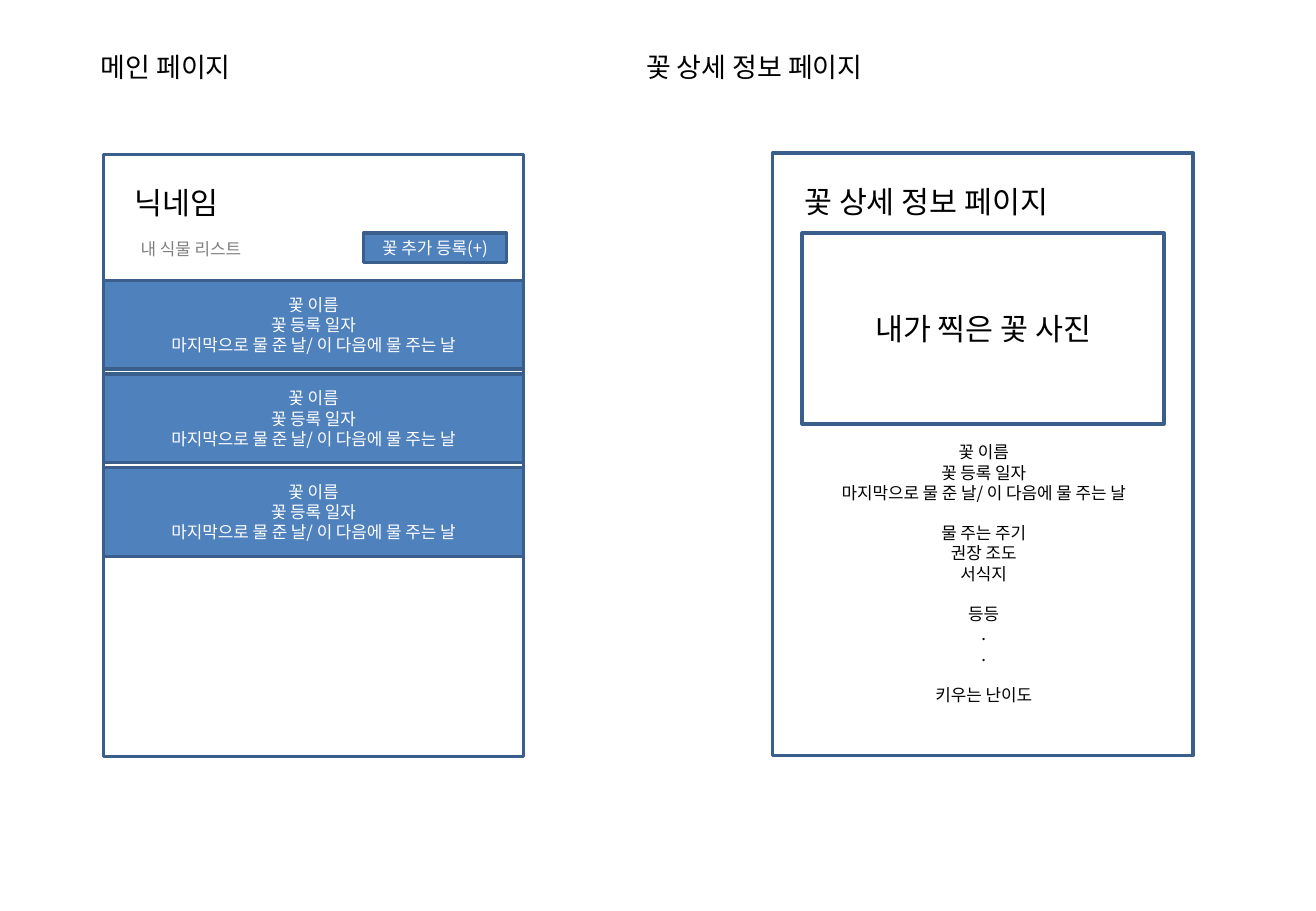
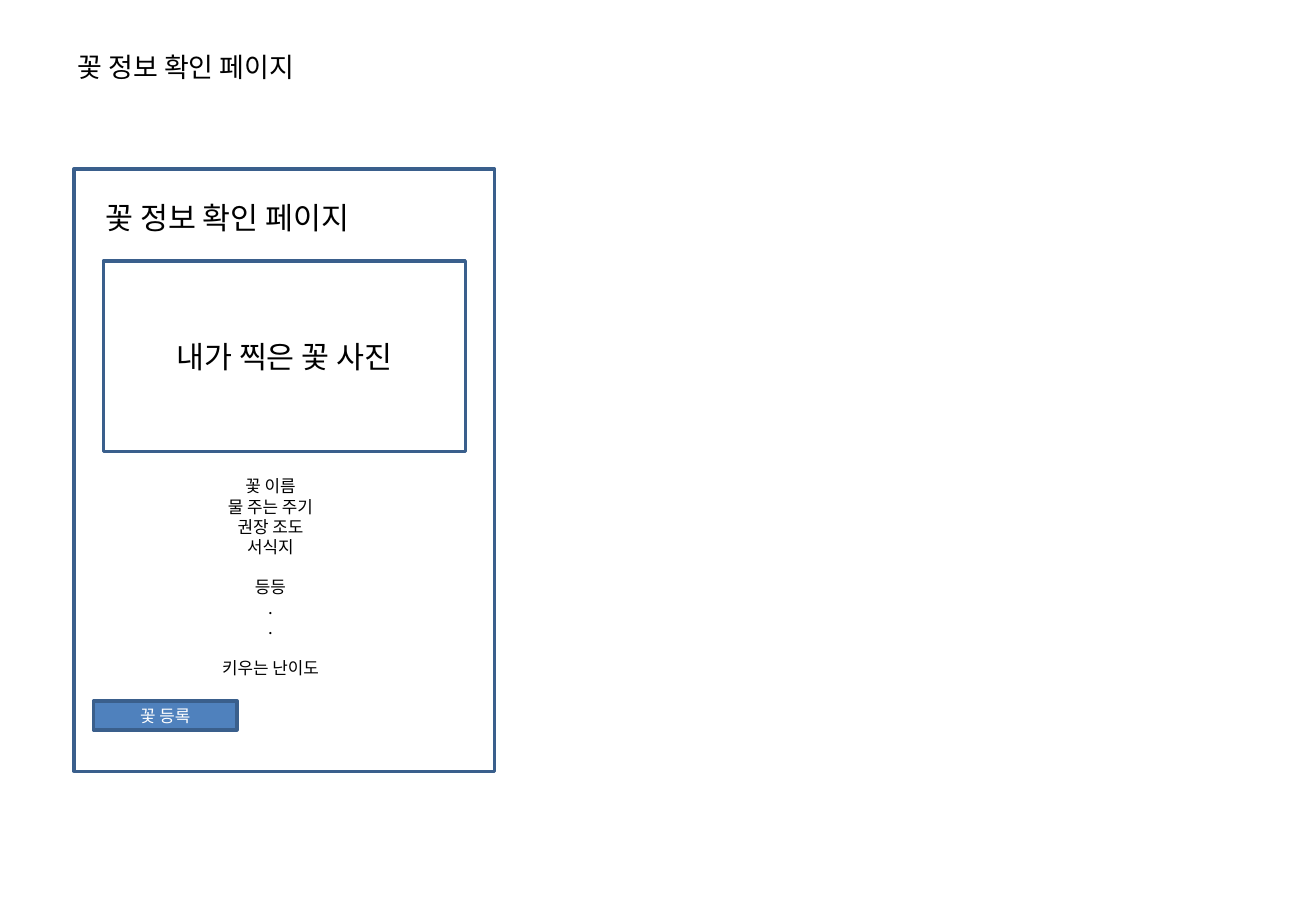
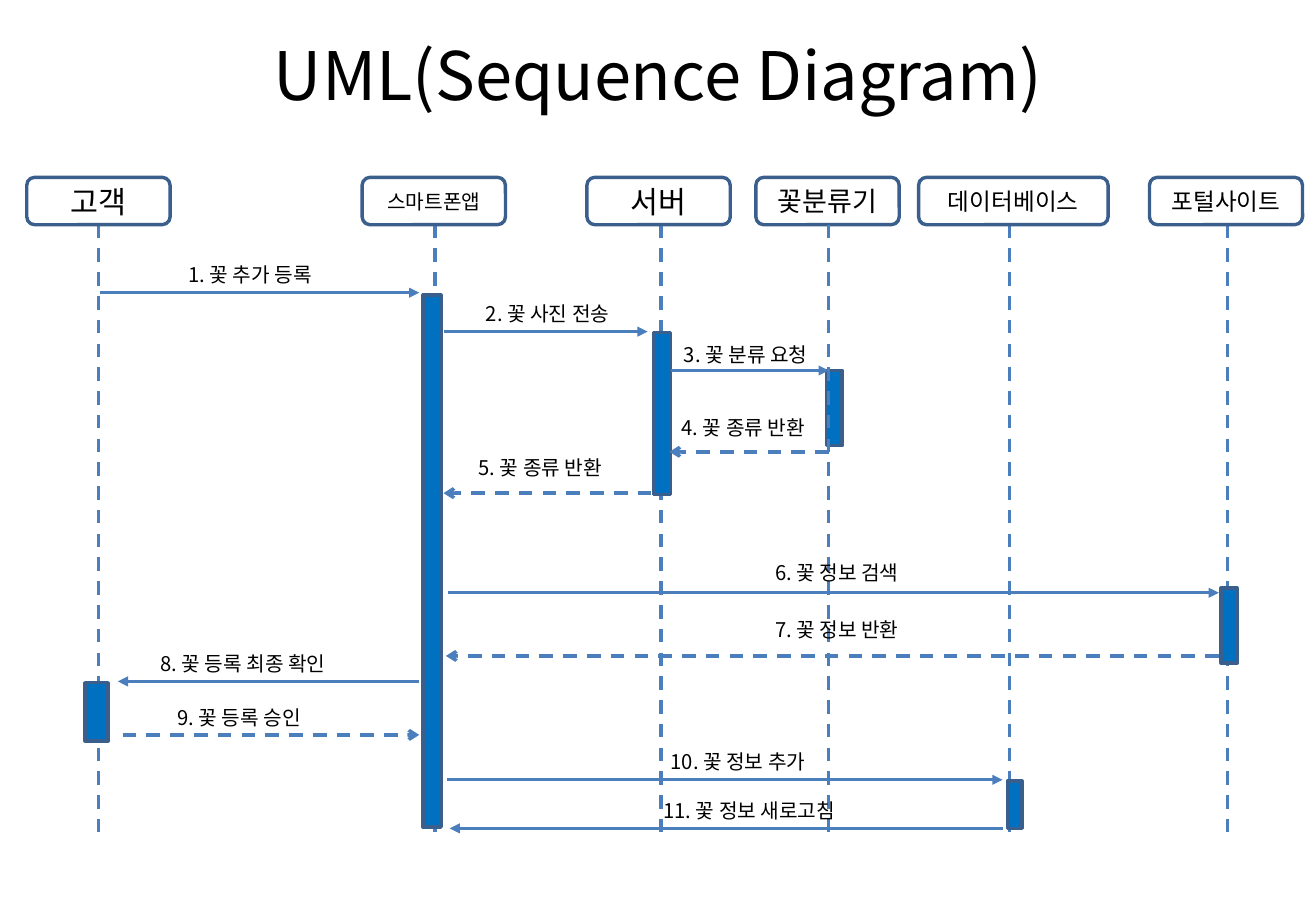
from collections import namedtuple
from dataclasses import dataclass

import pptx
import pptx.util
import pptx.dml.color
import pptx.enum.dml
import pptx.enum.shapes
import pptx.enum.text
import pptx.oxml
import pptx.oxml.ns


@dataclass(frozen=True)
class Theme:
    font: str = "Noto Sans CJK KR"
    black: str = "000000"
    white: str = "FFFFFF"
    grey: str = "808080"
    card: str = "4F81BD"
    outline: str = "3A5F8C"
    arrow: str = "4B7EBC"
    bar: str = "0070C0"
    line_width: float = 2
    leading: float = 1.2
    title: float = 39.6
    heading: float = 18
    page_name: float = 16
    label: float = 12
    body: float = 10


THEME = Theme()
SLIDE_WIDTH, SLIDE_HEIGHT = 10.83, 7.5
SCREEN = (3.46, 4.96)
PHOTO = (2.98, 1.57)
BUTTON = (1.18, 0.24)
COLUMN_WIDTH = 2.91
HEADING_OFFSET = (0.16, 0.2)
PAGE_NAME_TOP, PAGE_NAME_HEIGHT = 0.36, 0.38

# Wireframes: each inner list is a group set apart by one line.
CARD = [["꽃 이름", "꽃 등록 일자", "마지막으로 물 준 날/ 이 다음에 물 주는 날"]]
CARE = ["물 주는 주기", "권장 조도", "서식지"]
MORE = [["등등", ".", "."], ["키우는 난이도"]]
PHOTO_TEXT = "내가 찍은 꽃 사진"
CARD_COUNT, CARD_TOP, CARD_HEIGHT, CARD_STEP = 3, 2.31, 0.73, 0.77

MAIN_PAGE = dict(name="메인 페이지", name_left=0.73, at=(0.85, 1.27), heading="닉네임")
DETAIL_PAGE = dict(name="꽃 상세 정보 페이지", name_left=5.22, at=(6.36, 1.26),
                   heading="꽃 상세 정보 페이지", photo=(0.24, 0.66),
                   details=CARD + [CARE] + MORE, details_offset=(0.28, 2.33))
CHECK_PAGE = dict(name="꽃 정보 확인 페이지", name_left=0.54, at=(0.61, 1.39),
                  heading="꽃 정보 확인 페이지", photo=(0.24, 0.76),
                  details=[["꽃 이름"] + CARE] + MORE, details_offset=(0.16, 2.48))

# Sequence diagram
Participant = namedtuple("Participant", "name size left width lifeline bar line_in_front")
PARTICIPANTS = [
    Participant("고객", 18, 0.22, 1.18, 0.81, (0.7, 5.62, 0.19, 0.48), False),
    Participant("스마트폰앱", 12, 2.98, 1.18, 3.58, (3.48, 2.43, 0.15, 4.38), False),
    Participant("서버", 18, 4.83, 1.18, 5.44, (5.38, 2.74, 0.14, 1.33), False),
    Participant("꽃분류기", 16, 6.22, 1.18, 6.82, (6.8, 3.05, 0.13, 0.62), True),
    Participant("데이터베이스", 14, 7.56, 1.56, 8.31, (8.29, 6.43, 0.12, 0.39), False),
    Participant("포털사이트", 14, 9.46, 1.26, 10.1, (10.05, 4.84, 0.13, 0.62), False),
]
PARTICIPANT_TOP, PARTICIPANT_HEIGHT, LIFELINE_END = 1.46, 0.39, 6.9

Message = namedtuple("Message", "text start end y label_left label_lift dashed")
MESSAGES = [
    Message("꽃 추가 등록", 0.82, 3.45, 2.41, 1.45, 0.3, False),
    Message("꽃 사진 전송", 3.65, 5.33, 2.73, 3.9, 0.3, False),
    Message("꽃 분류 요청", 5.52, 6.82, 3.05, 5.53, 0.28, False),
    Message("꽃 종류 반환", 6.82, 5.51, 3.72, 5.51, 0.35, True),
    Message("꽃 종류 반환", 5.36, 3.65, 4.06, 3.84, 0.36, True),
    Message("꽃 정보 검색", 3.69, 10.03, 4.88, 6.28, 0.32, False),
    Message("꽃 정보 반환", 10.03, 3.67, 5.4, 6.28, 0.37, True),
    Message("꽃 등록 최종 확인", 3.45, 0.97, 5.61, 1.22, 0.3, False),
    Message("꽃 등록 승인", 1.01, 3.45, 6.05, 1.36, 0.29, True),
    Message("꽃 정보 추가", 3.68, 8.25, 6.42, 5.42, 0.3, False),
    Message("꽃 정보 새로고침", 8.25, 3.7, 6.82, 5.36, 0.3, False),
]
LABEL_SIZE = (1.88, 0.3)

ALIGN = pptx.enum.text.PP_ALIGN
ANCHOR = pptx.enum.text.MSO_ANCHOR
SHAPE = pptx.enum.shapes.MSO_SHAPE


def rgb(value):
    return pptx.dml.color.RGBColor.from_string(value)


def inches(*values):
    return [pptx.util.Inches(value) for value in values]


def shifted(point, offset):
    return point[0] + offset[0], point[1] + offset[1]


def write(frame, groups, size, color, align=ALIGN.LEFT, anchor=ANCHOR.TOP):
    """Fill a text frame; every group after the first starts one line lower."""
    frame.word_wrap = True
    frame.auto_size = pptx.enum.text.MSO_AUTO_SIZE.NONE
    frame.vertical_anchor = anchor
    leading = pptx.util.Pt(size * THEME.leading)
    paragraph = None
    for group_index, group in enumerate(groups):
        for line_index, text in enumerate(group):
            paragraph = frame.add_paragraph() if paragraph else frame.paragraphs[0]
            paragraph.alignment = align
            paragraph.line_spacing = leading
            starts_group = group_index > 0 and line_index == 0
            paragraph.space_before = leading if starts_group else pptx.util.Pt(0)
            run = paragraph.add_run()
            run.text = text
            run.font.size = pptx.util.Pt(size)
            run.font.name = THEME.font
            run.font.color.rgb = rgb(color)
            east_asian = pptx.oxml.ns.qn("a:ea")
            run.font._element.makeelement(east_asian)
            element = run.font._element.makeelement(east_asian, {"typeface": THEME.font})
            run.font._element.append(element)


def add_text(slide, at, size, groups, points, color=THEME.black, **layout):
    box = slide.shapes.add_textbox(*inches(*at, *size))
    write(box.text_frame, groups, points, color, **layout)


def add_box(slide, at, size, fill, groups=(), points=THEME.body,
            color=THEME.white, kind=SHAPE.RECTANGLE):
    shape = slide.shapes.add_shape(kind, *inches(*at, *size))
    shape.shadow.inherit = False
    shape.fill.solid()
    shape.fill.fore_color.rgb = rgb(fill)
    shape.line.color.rgb = rgb(THEME.outline)
    shape.line.width = pptx.util.Pt(THEME.line_width)
    if groups:
        frame = shape.text_frame
        frame.margin_left = frame.margin_right = 0
        frame.margin_top = frame.margin_bottom = 0
        write(frame, groups, points, color, ALIGN.CENTER, ANCHOR.MIDDLE)


def add_line(slide, start, end, dashed=False, head=None):
    connector = slide.shapes.add_connector(
        pptx.enum.shapes.MSO_CONNECTOR.STRAIGHT, *inches(*start, *end))
    line = connector.line
    line.color.rgb = rgb(THEME.arrow)
    line.width = pptx.util.Pt(THEME.line_width)
    if dashed:
        line.dash_style = pptx.enum.dml.MSO_LINE.DASH
    properties = connector._element.spPr
    if head:
        outline = properties.find(pptx.oxml.ns.qn("a:ln"))
        outline.append(outline.makeelement(pptx.oxml.ns.qn("a:tailEnd"), {"type": head}))
    properties.append(properties.makeelement(pptx.oxml.ns.qn("a:effectLst")))


def add_slide(presentation, title, at, size, points, align=ALIGN.LEFT):
    slide = presentation.slides.add_slide(presentation.slide_layouts[5])
    placeholder = slide.shapes.title
    (placeholder.left, placeholder.top,
     placeholder.width, placeholder.height) = inches(*at, *size)
    write(placeholder.text_frame, [[title]], points, THEME.black, align, ANCHOR.MIDDLE)
    return slide


def page_name_place(page):
    return (page["name_left"], PAGE_NAME_TOP), (4.5, PAGE_NAME_HEIGHT)


def add_page_slide(presentation, page):
    return add_slide(presentation, page["name"], *page_name_place(page), THEME.page_name)


def add_screen(slide, page):
    """Draw a screen outline with its heading and, if given, photo and details."""
    at = page["at"]
    add_box(slide, at, SCREEN, THEME.white)
    add_text(slide, shifted(at, HEADING_OFFSET), (COLUMN_WIDTH, 0.4),
             [[page["heading"]]], THEME.heading)
    if "photo" in page:
        add_box(slide, shifted(at, page["photo"]), PHOTO, THEME.white,
                [[PHOTO_TEXT]], THEME.heading, THEME.black)
        add_text(slide, shifted(at, page["details_offset"]), (COLUMN_WIDTH, 2.3),
                 page["details"], THEME.body, align=ALIGN.CENTER)


def build_main_and_detail(presentation):
    slide = add_page_slide(presentation, MAIN_PAGE)
    add_text(slide, *page_name_place(DETAIL_PAGE), [[DETAIL_PAGE["name"]]],
             THEME.page_name, anchor=ANCHOR.MIDDLE)
    add_screen(slide, MAIN_PAGE)
    add_text(slide, (1.06, 1.92), (1.8, 0.27), [["내 식물 리스트"]], THEME.body, THEME.grey)
    for index in range(CARD_COUNT):
        add_box(slide, (MAIN_PAGE["at"][0], CARD_TOP + index * CARD_STEP),
                (SCREEN[0], CARD_HEIGHT), THEME.card, CARD)
    add_box(slide, (2.99, 1.92), BUTTON, THEME.card, [["꽃 추가 등록(+)"]])
    add_screen(slide, DETAIL_PAGE)


def build_check(presentation):
    slide = add_page_slide(presentation, CHECK_PAGE)
    add_screen(slide, CHECK_PAGE)
    add_box(slide, (0.77, 5.77), BUTTON, THEME.card, [["꽃 등록"]])


def add_lifelines(slide, in_front):
    top = PARTICIPANT_TOP + PARTICIPANT_HEIGHT
    for participant in PARTICIPANTS:
        if participant.line_in_front == in_front:
            add_line(slide, (participant.lifeline, top),
                     (participant.lifeline, LIFELINE_END), dashed=True)


def build_sequence(presentation):
    slide = add_slide(presentation, "UML(Sequence Diagram)", (0.54, 0.3), (9.75, 0.61),
                      THEME.title, ALIGN.CENTER)
    add_lifelines(slide, in_front=False)
    for participant in PARTICIPANTS:
        add_box(slide, (participant.left, PARTICIPANT_TOP),
                (participant.width, PARTICIPANT_HEIGHT), THEME.white,
                [[participant.name]], participant.size, THEME.black,
                SHAPE.ROUNDED_RECTANGLE)
        add_box(slide, participant.bar[:2], participant.bar[2:], THEME.bar)
    add_lifelines(slide, in_front=True)
    for number, message in enumerate(MESSAGES, 1):
        add_line(slide, (message.start, message.y), (message.end, message.y),
                 message.dashed, "arrow" if message.dashed else "triangle")
        add_text(slide, (message.label_left, message.y - message.label_lift), LABEL_SIZE,
                 [[f"{number}. {message.text}"]], THEME.label)


def main():
    presentation = pptx.Presentation()
    presentation.slide_width, presentation.slide_height = inches(SLIDE_WIDTH, SLIDE_HEIGHT)
    build_main_and_detail(presentation)
    build_check(presentation)
    build_sequence(presentation)
    presentation.save("out.pptx")


if __name__ == "__main__":
    main()
